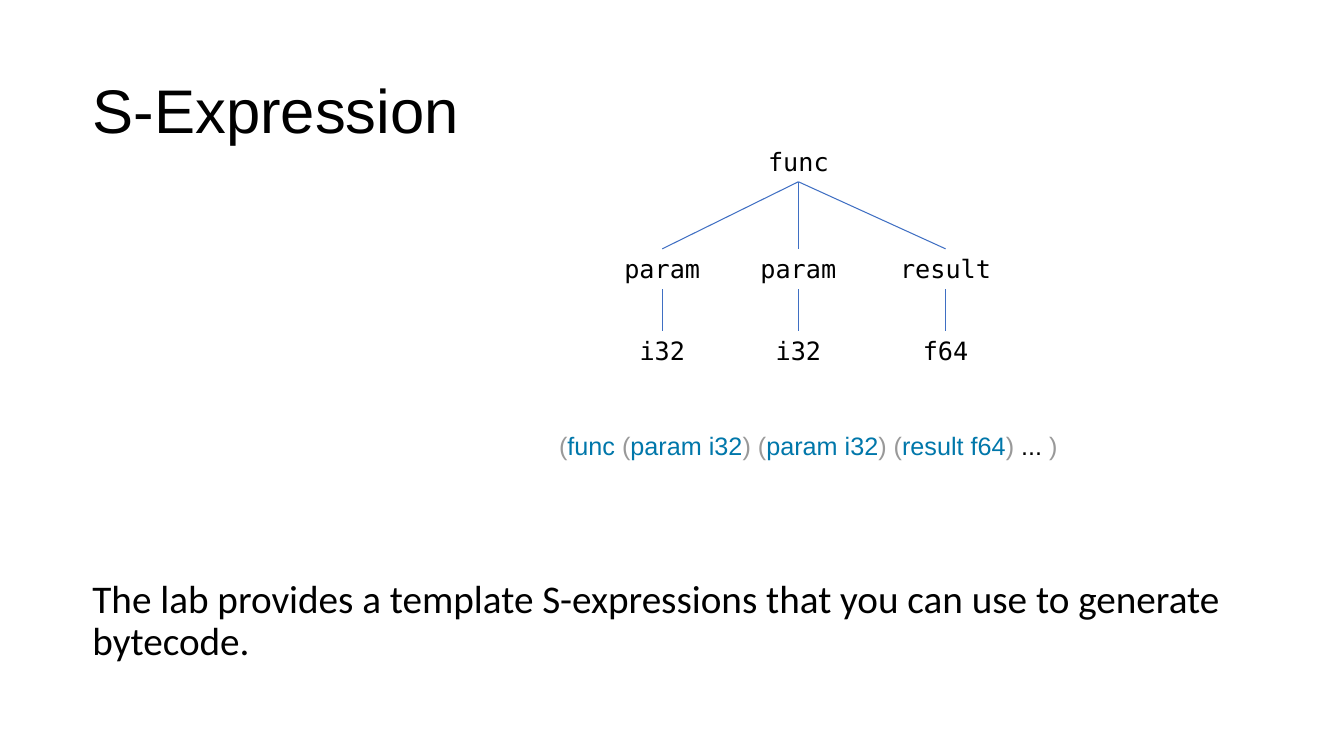
from lxml.etree import SubElement
from pptx import Presentation
from pptx.dml.color import RGBColor
from pptx.enum.shapes import MSO_CONNECTOR
from pptx.enum.text import MSO_ANCHOR, MSO_AUTO_SIZE, PP_ALIGN
from pptx.oxml.ns import qn
from pptx.util import Cm, Pt

BLACK = RGBColor(0x00, 0x00, 0x00)
GRAY = RGBColor(0x99, 0x99, 0x99)
TEAL = RGBColor(0x00, 0x77, 0xAA)
BLUE = RGBColor(0x3F, 0x6F, 0xC3)

# Tree geometry in centimetres
LABEL_HEIGHT = 1.02
LABEL_PADDING = 0.51
CHARACTER_WIDTH = 0.39
ROOT_TOP, CHILD_TOP, LEAF_TOP = 3.56, 6.27, 8.33
ROOT_CENTER = 20.12
BRANCHES = [
    (16.69, "param", "i32"),
    (ROOT_CENTER, "param", "i32"),
    (23.83, "result", "f64"),
]

EXPRESSION = [
    ("(", GRAY), ("func ", TEAL),
    ("(", GRAY), ("param i32", TEAL),
    (") (", GRAY), ("param i32", TEAL),
    (") (", GRAY), ("result f64", TEAL),
    (")", GRAY), (" ... ", BLACK), (")", GRAY),
]


def add_text(page, left, top, width, height, runs, font, size, wrap=True):
    """Add a text box with one paragraph of (text, colour) runs."""
    box = page.shapes.add_textbox(Cm(left), Cm(top), Cm(width), Cm(height))
    frame = box.text_frame
    frame.word_wrap = wrap
    if not wrap:
        frame.auto_size = MSO_AUTO_SIZE.SHAPE_TO_FIT_TEXT
    para = frame.paragraphs[0]
    for text, color in runs:
        span = para.add_run()
        span.text = text
        span.font.name = font
        span.font.size = Pt(size)
        span.font.color.rgb = color
    return frame


def add_node(page, center, top, word):
    """Add a tree label centred on a column."""
    width = LABEL_PADDING + CHARACTER_WIDTH * len(word)
    frame = add_text(page, center - width / 2, top, width, LABEL_HEIGHT,
                     [(word, BLACK)], "DejaVu Sans Mono", 18, wrap=False)
    frame.paragraphs[0].alignment = PP_ALIGN.CENTER


def add_edge(page, parent_center, parent_top, child_center, child_top):
    """Join the bottom of a parent label to the top of its child."""
    edge = page.shapes.add_connector(
        MSO_CONNECTOR.STRAIGHT,
        Cm(parent_center), Cm(parent_top + LABEL_HEIGHT),
        Cm(child_center), Cm(child_top))
    edge.line.color.rgb = BLUE
    edge.line.width = Pt(0.75)
    SubElement(edge._element.spPr, qn("a:effectLst"))


def add_title(page, text):
    frame = add_text(page, 2.34, 1.02, 29.21, 3.68, [(text, BLACK)], "Arial", 44)
    frame.vertical_anchor = MSO_ANCHOR.MIDDLE
    frame.margin_left = frame.margin_right = 0
    frame.margin_top = frame.margin_bottom = 0
    frame.paragraphs[0].line_spacing = 0.9


def add_tree(page):
    add_node(page, ROOT_CENTER, ROOT_TOP, "func")
    for center, child, leaf in BRANCHES:
        add_node(page, center, CHILD_TOP, child)
        add_node(page, center, LEAF_TOP, leaf)
        add_edge(page, ROOT_CENTER, ROOT_TOP, center, CHILD_TOP)
        add_edge(page, center, CHILD_TOP, center, LEAF_TOP)


def add_body(page, text):
    frame = add_text(page, 2.08, 14.48, 29.21, 2.49, [(text, BLACK)], "Calibri", 28)
    para = frame.paragraphs[0]
    para.line_spacing = 0.9
    para.space_before = Pt(10)


def main():
    deck = Presentation()
    deck.slide_width = Cm(33.87)
    deck.slide_height = Cm(19.05)
    page = deck.slides.add_slide(deck.slide_layouts[6])

    # Heading
    add_title(page, "S-Expression")

    # Syntax tree and its written form
    add_tree(page)
    add_text(page, 13.84, 10.72, 13.18, LABEL_HEIGHT, EXPRESSION, "Arial", 18, wrap=False)

    # Closing remark
    add_body(page, "The lab provides a template S-expressions that you can "
                   "use to generate bytecode.")

    deck.save("out.pptx")


main()
